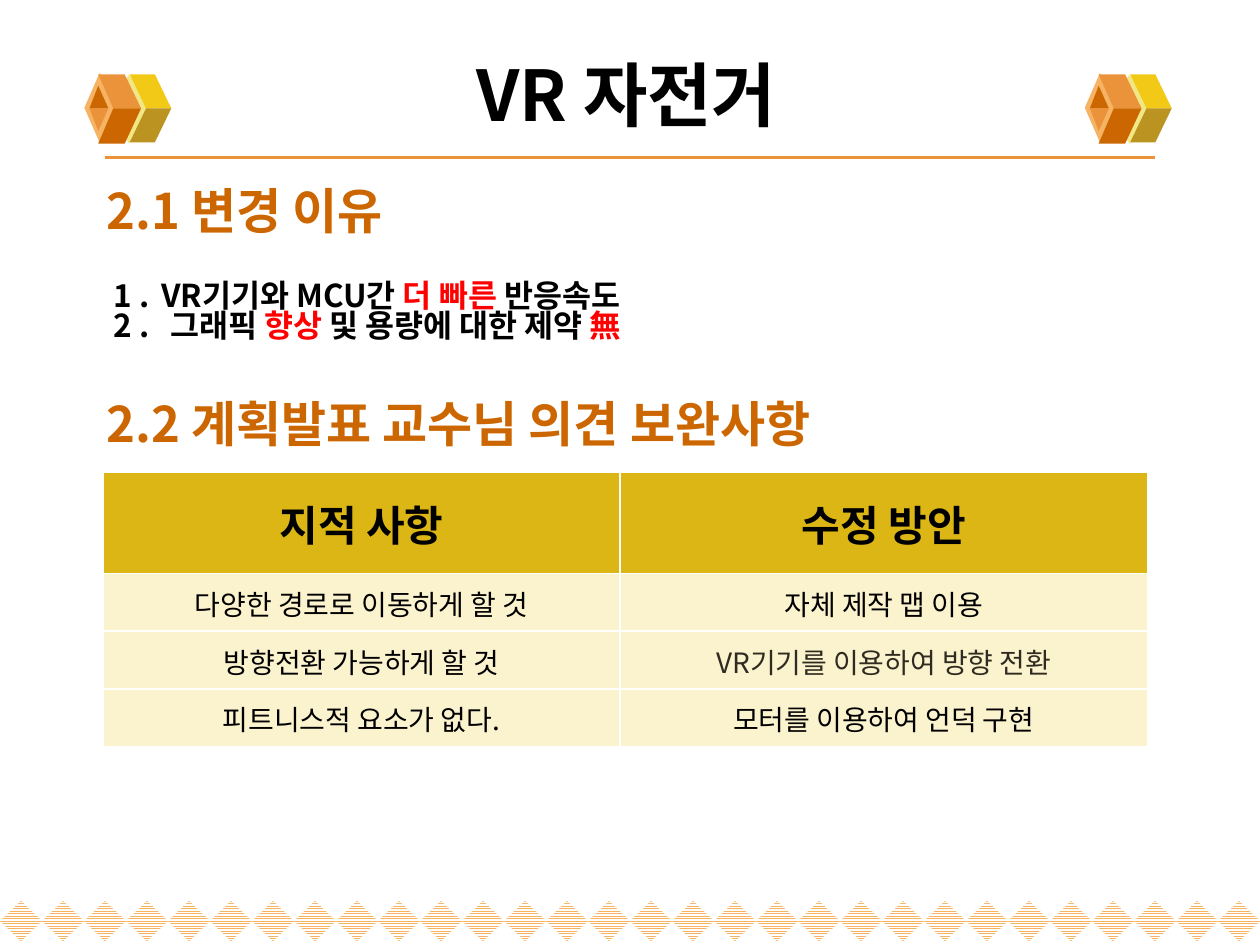
from dataclasses import dataclass

from lxml import etree
from pptx import Presentation
from pptx.dml.color import RGBColor
from pptx.enum.dml import MSO_PATTERN
from pptx.enum.shapes import MSO_CONNECTOR, MSO_SHAPE
from pptx.enum.text import MSO_ANCHOR, PP_ALIGN
from pptx.oxml.ns import qn
from pptx.util import Inches, Pt

DIAMOND = MSO_SHAPE.DIAMOND
STRAIGHT = MSO_CONNECTOR.STRAIGHT
STRIPES = MSO_PATTERN.NARROW_HORIZONTAL
MIDDLE = MSO_ANCHOR.MIDDLE
LEFT, CENTER = PP_ALIGN.LEFT, PP_ALIGN.CENTER


@dataclass(frozen=True)
class Theme:
    """Hold the font, type sizes and colours of the slide."""
    font: str = "Noto Sans CJK KR"
    title: int = 40
    heading: int = 28
    header: int = 24
    body: int = 18
    cell: int = 16
    black: str = "000000"
    white: str = "FFFFFF"
    red: str = "FF0000"
    brown: str = "CC6600"
    orange: str = "EB933B"
    peach: str = "F5B363"
    cream: str = "F1E785"
    yellow: str = "F3C917"
    olive: str = "BB9321"
    header_fill: str = "DCB614"
    row_fill: str = "FBF2CE"
    soft_black: str = "2F2B20"


THEME = Theme()

CUBE_DIAMONDS = [
    (0.19, 0.01, 0.33, 0.55, THEME.cream),
    (0, 0, 0.24, 0.55, THEME.peach),
]
CUBE_FACES = [
    ([(0.49, 0.28), (0.69, 0.28), (0.56, 0.01), (0.36, 0.01)], THEME.yellow),
    ([(0.49, 0.28), (0.69, 0.28), (0.56, 0.55), (0.36, 0.55)], THEME.olive),
    ([(0.23, 0.28), (0.45, 0.28), (0.32, 0.01), (0.11, 0.01)], THEME.orange),
    ([(0.23, 0.28), (0.45, 0.28), (0.32, 0.56), (0.11, 0.56)], THEME.brown),
    ([(0.11, 0.1), (0.04, 0.28), (0.19, 0.28)], THEME.brown),
    ([(0.11, 0.46), (0.04, 0.28), (0.19, 0.28)], THEME.orange),
]
REASONS = [
    (0.38, [("1 .\tVR기기와 MCU간 ", THEME.black), ("더 빠른", THEME.red),
            (" 반응속도", THEME.black)]),
    (0.45, [("2 .\t그래픽 ", THEME.black), ("향상", THEME.red),
            (" 및 용량에 대한 제약 ", THEME.black), ("無", THEME.red)]),
]
FEEDBACK = [
    ("지적 사항", "수정 방안"),
    ("다양한 경로로 이동하게 할 것", "자체 제작 맵 이용"),
    ("방향전환 가능하게 할 것", "VR기기를 이용하여 방향 전환"),
    ("피트니스적 요소가 없다.", "모터를 이용하여 언덕 구현"),
]


def color(value):
    """Turn a hex string into a colour."""
    return RGBColor.from_string(value)


def add_span(para, text, *, size, fill=THEME.black, bold=True):
    """Append formatted text to a paragraph."""
    span = para.add_run()
    span.text = text
    span.font.name = THEME.font
    span.font.size = Pt(size)
    span.font.bold = bold
    span.font.color.rgb = color(fill)
    east_asian = etree.SubElement(span._r.get_or_add_rPr(), qn("a:ea"))
    east_asian.set("typeface", THEME.font)


def add_box(page, left, top, width, height, *, wrap=False):
    """Add a vertically centred text box and return its frame."""
    box = page.shapes.add_textbox(
        Inches(left), Inches(top), Inches(width), Inches(height))
    frame = box.text_frame
    frame.word_wrap = wrap
    frame.vertical_anchor = MIDDLE
    return frame


def add_heading(page, text, top, height):
    """Add a section heading."""
    frame = add_box(page, 0.75, top, 9.45, height)
    frame.paragraphs[0].alignment = LEFT
    add_span(frame.paragraphs[0], text, size=THEME.heading, fill=THEME.brown)


def add_title(page, text):
    """Add the centred slide title."""
    frame = add_box(page, 0.48, 0.31, 8.98, 0.86, wrap=True)
    frame.paragraphs[0].alignment = CENTER
    add_span(frame.paragraphs[0], text, size=THEME.title)


def add_reasons(page):
    """Add the numbered reasons with their tab stops."""
    frame = add_box(page, 0.75, 2, 9.45, 0.98)
    frame.margin_left = Inches(0.15)
    for index, (stop, spans) in enumerate(REASONS):
        para = frame.add_paragraph() if index else frame.paragraphs[0]
        para.alignment = LEFT
        para.line_spacing = 0.8
        tabs = etree.SubElement(para._p.get_or_add_pPr(), qn("a:tabLst"))
        etree.SubElement(tabs, qn("a:tab"), pos=str(Inches(stop)), algn="l")
        for text, fill in spans:
            add_span(para, text, size=THEME.body, fill=fill)


def finish_shape(shape, fill):
    """Give a shape a plain fill without outline or shadow."""
    shape.shadow.inherit = False
    shape.line.fill.background()
    shape.fill.solid()
    shape.fill.fore_color.rgb = color(fill)


def add_diamond(page, left, top, width, height, fill):
    """Add a filled diamond."""
    shape = page.shapes.add_shape(
        DIAMOND, Inches(left), Inches(top), Inches(width), Inches(height))
    finish_shape(shape, fill)
    return shape


def add_cube(page, left, top):
    """Add the cube ornament from its diamonds and faces."""
    for x, y, width, height, fill in CUBE_DIAMONDS:
        add_diamond(page, left + x, top + y, width, height, fill)
    for points, fill in CUBE_FACES:
        corners = [(Inches(left + x), Inches(top + y)) for x, y in points]
        builder = page.shapes.build_freeform(*corners[0])
        builder.add_line_segments(corners[1:], close=True)
        finish_shape(builder.convert_to_shape(), fill)


def add_border(page, count=30):
    """Add the row of striped diamonds along the bottom."""
    step = 10 / count
    for index in range(count):
        shape = add_diamond(page, index * step, 7.15, step, 0.32, THEME.white)
        shape.fill.patterned()
        shape.fill.pattern = STRIPES
        shape.fill.fore_color.rgb = color(THEME.peach)
        shape.fill.back_color.rgb = color(THEME.white)


def add_rule(page):
    """Add the line under the title."""
    rule = page.shapes.add_connector(
        STRAIGHT, Inches(0.83), Inches(1.25), Inches(9.17), Inches(1.25))
    rule.line.color.rgb = color(THEME.orange)
    rule.line.width = Pt(2.25)
    etree.SubElement(rule._element.spPr, qn("a:effectLst"))


def format_cell(cell, fill):
    """Set the fill, margins and white borders of a cell."""
    cell.vertical_anchor = MIDDLE
    cell.margin_left = cell.margin_right = cell.margin_top = Inches(0.01)
    cell.margin_bottom = 0
    properties = cell._tc.get_or_add_tcPr()
    for side in ("lnL", "lnR", "lnT", "lnB"):
        line = etree.SubElement(properties, qn(f"a:{side}"), w=str(Pt(1)))
        solid = etree.SubElement(line, qn("a:solidFill"))
        etree.SubElement(solid, qn("a:srgbClr"), val=THEME.white)
    cell.fill.solid()
    cell.fill.fore_color.rgb = color(fill)


def add_feedback_table(page):
    """Add the table of comments and remedies."""
    table = page.shapes.add_table(
        len(FEEDBACK), 2, Inches(0.82), Inches(3.75), Inches(8.29), Inches(2.18)).table
    for column, width in zip(table.columns, (4.1, 4.19)):
        column.width = Inches(width)
    for index, texts in enumerate(FEEDBACK):
        header = index == 0
        table.rows[index].height = Inches(0.8 if header else 0.46)
        for column, text in enumerate(texts):
            cell = table.cell(index, column)
            format_cell(cell, THEME.header_fill if header else THEME.row_fill)
            para = cell.text_frame.paragraphs[0]
            para.alignment = CENTER
            add_span(para, text, size=THEME.header if header else THEME.cell, bold=header,
                     fill=THEME.soft_black if (index, column) == (2, 1) else THEME.black)


def main():
    """Build and save the slide."""
    deck = Presentation()
    deck.slide_width, deck.slide_height = Inches(10), Inches(7.5)
    page = deck.slides.add_slide(deck.slide_layouts[6])
    add_border(page)
    add_rule(page)
    for left in (0.67, 8.61):
        add_cube(page, left, 0.58)
    add_heading(page, "2.2 계획발표 교수님 의견 보완사항", 3.12, 0.48)
    add_feedback_table(page)
    add_heading(page, "2.1 변경 이유", 1.39, 0.56)
    add_reasons(page)
    add_title(page, "VR 자전거")
    deck.save("out.pptx")


if __name__ == "__main__":
    main()
